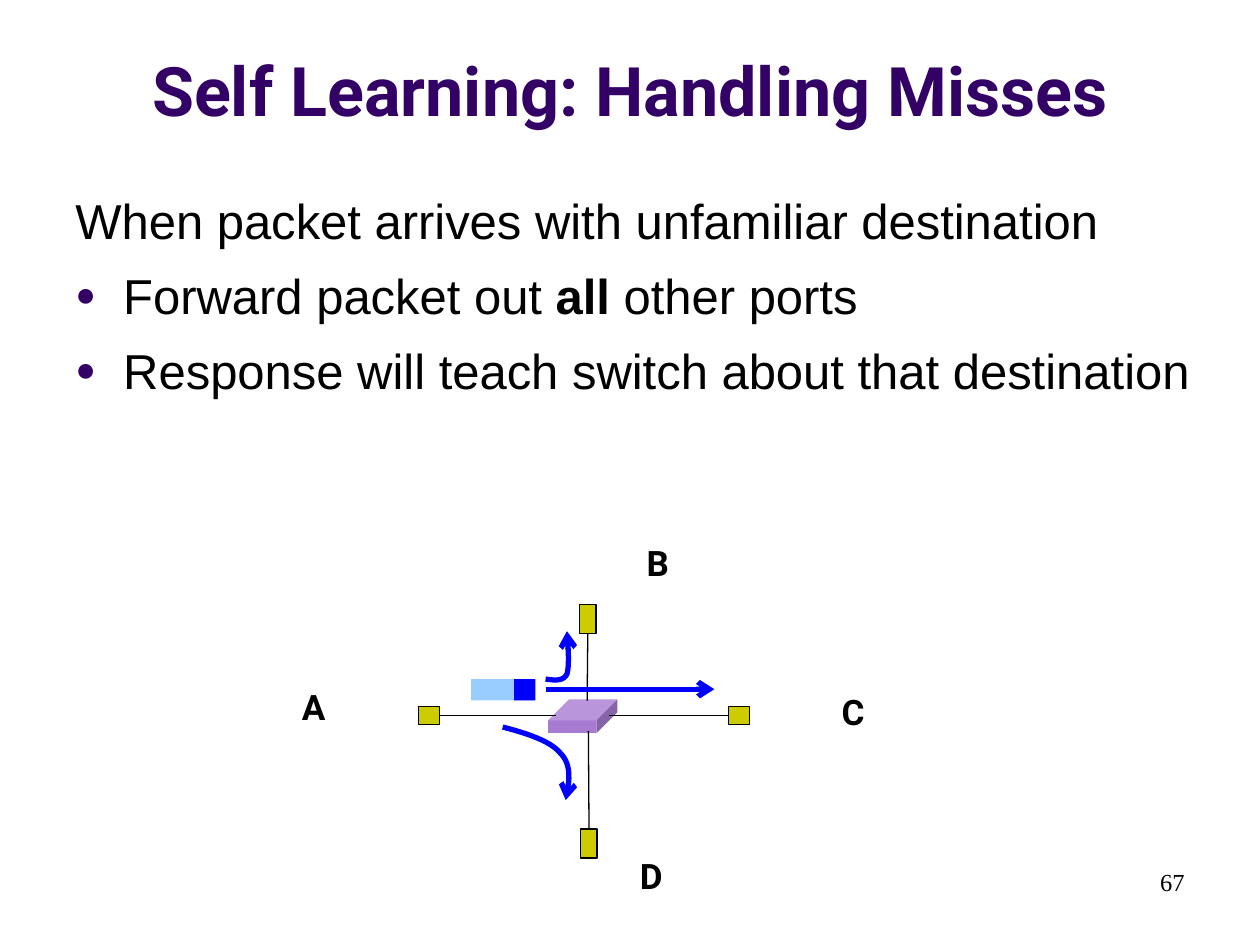
from lxml.etree import SubElement
from pptx import Presentation
from pptx.dml.color import RGBColor
from pptx.enum.shapes import MSO_CONNECTOR, MSO_SHAPE
from pptx.enum.text import MSO_ANCHOR, PP_ALIGN
from pptx.oxml.ns import qn
from pptx.util import Inches, Pt

COLORS = {
    "title": "330066", "text": "000000", "host": "CCCC00", "switch": "A87BD2",
    "payload": "99CCFF", "header": "0000FF", "flow": "0000FF", "link": "000000",
}
TOP, LEFT, BOTTOM, RIGHT = range(4)


def rgb(name):
    return RGBColor.from_string(COLORS[name])


def add_run(paragraph, text, size, font, color="text", bold=False):
    run = paragraph.add_run()
    run.text = text
    run.font.size = Pt(size)
    run.font.name = font
    run.font.bold = bold
    run.font.color.rgb = rgb(color)


def add_text_frame(slide, box, wrap=True):
    frame = slide.shapes.add_textbox(*map(Inches, box)).text_frame
    frame.word_wrap = wrap
    return frame


def add_bullet(paragraph):
    props = paragraph._p.get_or_add_pPr()
    props.set("marL", str(Inches(0.38)))
    props.set("indent", str(-Inches(0.38)))
    color = SubElement(props, qn("a:buClr"))
    SubElement(color, qn("a:srgbClr"), val=COLORS["title"])
    SubElement(props, qn("a:buSzPct"), val="70000")
    SubElement(props, qn("a:buFont"), typeface="Arial")
    SubElement(props, qn("a:buChar"), char="●")


def add_block(slide, kind, box, fill, outlined=False):
    block = slide.shapes.add_shape(kind, *map(Inches, box))
    block.shadow.inherit = False
    block.fill.solid()
    block.fill.fore_color.rgb = rgb(fill)
    if outlined:
        block.line.color.rgb = rgb("link")
        block.line.width = Pt(0.75)
    else:
        block.line.fill.background()
    return block


def add_line(slide, start, end, color, width):
    line = slide.shapes.add_connector(
        MSO_CONNECTOR.STRAIGHT, *map(Inches, (*start, *end)))
    line.line.color.rgb = rgb(color)
    line.line.width = Pt(width)
    SubElement(line._element.spPr, qn("a:effectLst"))
    return line


def add_arrowhead(flow):
    outline = flow._element.spPr.get_or_add_ln()
    SubElement(outline, qn("a:tailEnd"), type="arrow")


def bezier_points(p0, p1, p2, p3, steps=12):
    for step in range(1, steps + 1):
        t = step / steps
        u = 1 - t
        yield tuple(u**3 * a + 3 * u * u * t * b + 3 * u * t * t * c + t**3 * d
                    for a, b, c, d in zip(p0, p1, p2, p3))


def add_curved_flow(slide, start, *segments):
    points = [start]
    for segment in segments:
        points.extend(bezier_points(points[-1], *segment))
    first, *others = [(Inches(x), Inches(y)) for x, y in points]
    builder = slide.shapes.build_freeform(*first)
    builder.add_line_segments(others, close=False)
    flow = builder.convert_to_shape()
    flow.shadow.inherit = False
    flow.fill.background()
    flow.line.color.rgb = rgb("flow")
    flow.line.width = Pt(3)
    add_arrowhead(flow)


def add_title(slide, text):
    title = slide.shapes.title
    title.left, title.top, title.width, title.height = map(
        Inches, (0, 0.13, 10, 0.95))
    title.text_frame.vertical_anchor = MSO_ANCHOR.BOTTOM
    paragraph = title.text_frame.paragraphs[0]
    paragraph.alignment = PP_ALIGN.CENTER
    add_run(paragraph, text, 39, "Roboto", "title", bold=True)


def add_body(slide):
    frame = add_text_frame(slide, (0.5, 1.42, 9.33, 5.29))
    lines = [
        [("When packet arrives with unfamiliar destination", False)],
        [("Forward packet out ", False), ("all ", True), ("other ports", False)],
        [("Response will teach switch about that destination", False)],
    ]
    for index, runs in enumerate(lines):
        paragraph = frame.add_paragraph() if index else frame.paragraphs[0]
        paragraph.line_spacing = 1.1
        if index:
            paragraph.space_before = Pt(5.6)
            add_bullet(paragraph)
        for text, bold in runs:
            add_run(paragraph, text, 28, "Arial", bold=bold)


def add_network(slide):
    # Switch, hosts and the links between them
    switch = add_block(slide, MSO_SHAPE.CUBE, (4.35, 5.55, 0.55, 0.27), "switch")
    switch.adjustments[0] = 0.62
    wide, tall = (0.17, 0.14), (0.13, 0.23)
    # name: host position, size, side of its link, link end, label position
    hosts = {
        "A": ((3.32, 5.61), wide, RIGHT, (4.41, 5.68), (2.29, 5.39)),
        "B": ((4.60, 4.80), tall, BOTTOM, (4.66, 5.56), (5.02, 4.25)),
        "C": ((5.78, 5.61), wide, LEFT, (4.83, 5.68), (6.57, 5.43)),
        "D": ((4.61, 6.58), tall, TOP, (4.67, 5.80), (4.97, 6.73)),
    }
    for name, (corner, size, side, link_end, label_corner) in hosts.items():
        host = add_block(slide, MSO_SHAPE.RECTANGLE, corner + size, "host", True)
        link = add_line(slide, corner, link_end, "link", 0.75)
        link.begin_connect(host, side)
        label = add_text_frame(slide, label_corner + (0.4, 0.43), wrap=False)
        label.paragraphs[0].alignment = PP_ALIGN.CENTER
        add_run(label.paragraphs[0], name, 20, "Roboto", bold=True)


def add_packet_flow(slide):
    # Packet with its header at the front
    add_block(slide, MSO_SHAPE.RECTANGLE, (3.74, 5.39, 0.5, 0.17), "payload")
    add_block(slide, MSO_SHAPE.RECTANGLE, (4.08, 5.39, 0.17, 0.17), "header")
    # Copies sent to B, D and C
    add_curved_flow(slide, (4.33, 5.39),
                    ((4.4, 5.4), (4.47, 5.41), (4.5, 5.35)),
                    ((4.52, 5.28), (4.51, 5.15), (4.5, 5.01)))
    add_curved_flow(slide, (3.99, 5.77),
                    ((4.18, 5.82), (4.37, 5.88), (4.45, 5.98)),
                    ((4.54, 6.07), (4.52, 6.21), (4.49, 6.35)))
    add_arrowhead(add_line(slide, (4.33, 5.47), (5.67, 5.47), "flow", 3))


def add_page_number(slide, number):
    paragraph = add_text_frame(slide, (7.17, 6.83, 2.33, 0.5)).paragraphs[0]
    paragraph.alignment = PP_ALIGN.RIGHT
    add_run(paragraph, number, 14, "Times New Roman")


def main():
    deck = Presentation()
    deck.slide_width, deck.slide_height = Inches(10), Inches(7.5)
    slide = deck.slides.add_slide(deck.slide_layouts[5])
    add_title(slide, "Self Learning: Handling Misses")
    add_body(slide)
    add_page_number(slide, "67")
    add_network(slide)
    add_packet_flow(slide)
    deck.save("out.pptx")


if __name__ == "__main__":
    main()
